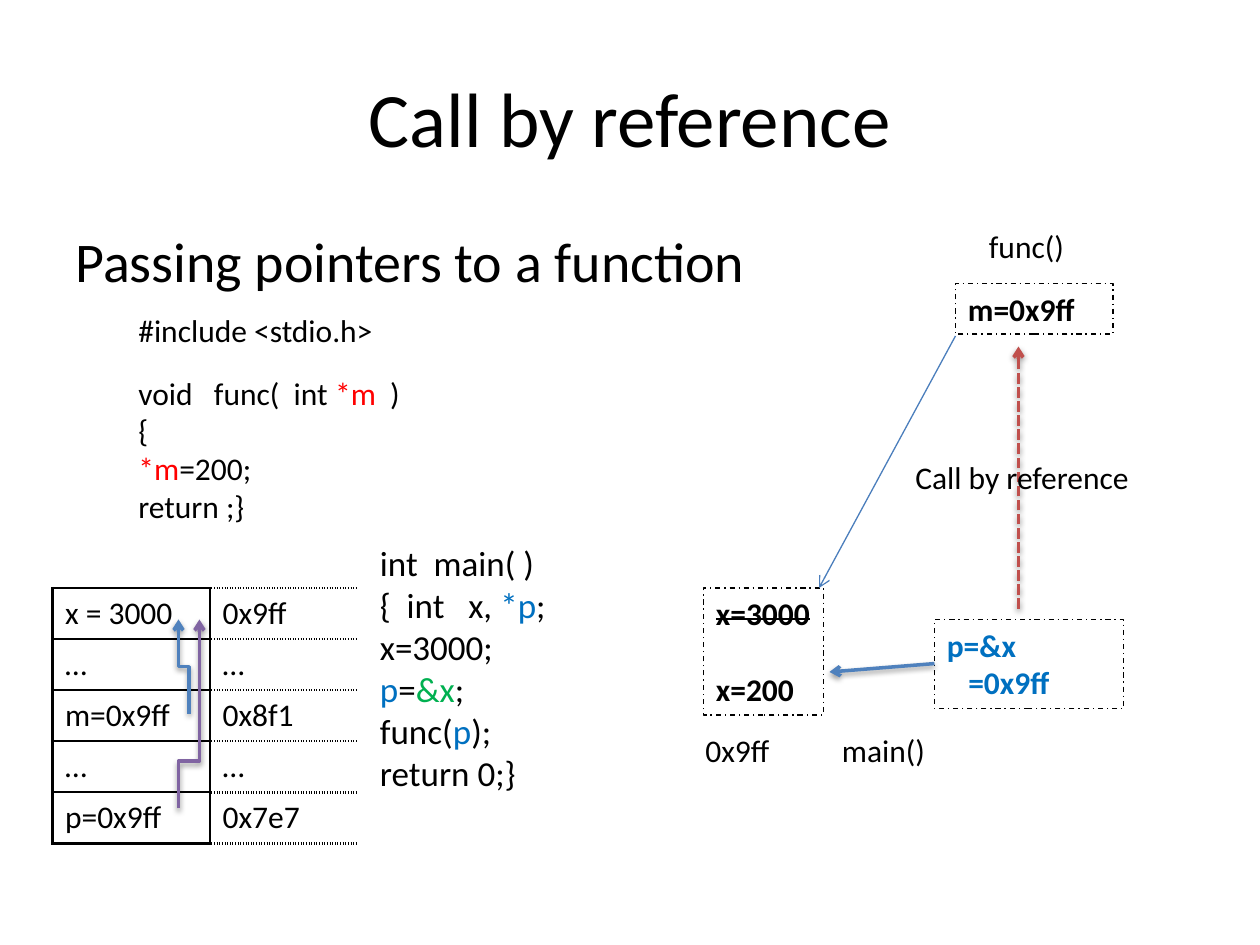
from lxml import etree
from pptx import Presentation
from pptx.dml.color import RGBColor
from pptx.enum.dml import MSO_LINE
from pptx.enum.shapes import MSO_CONNECTOR as Link, MSO_SHAPE as Shape
from pptx.enum.text import MSO_ANCHOR as Anchor, PP_ALIGN as Align
from pptx.oxml.ns import qn
from pptx.util import Inches, Pt

FONT = "Calibri"
BLACK, RED, BLUE, GREEN = "000000", "FF0000", "0070C0", "00B050"
STEEL, BRICK, PURPLE, THIN_BLUE = "4F81BD", "C0504D", "8064A2", "4B7EBC"
LINE_ROW = 4.83  # height of a one-line label


def grid(count):
    """Length of a number of grid steps, twelve to the inch."""
    return Inches(count / 12)


def color(value):
    return RGBColor.from_string(value)


def add_xml(parent, tag, **attributes):
    return etree.SubElement(parent, qn(tag), attributes)


def style_font(font, size, tint=BLACK, bold=False):
    font.name, font.size, font.bold = FONT, Pt(size), bold
    font.color.rgb = color(tint)


def write_lines(frame, lines, size, tint=BLACK, bold=False):
    """Each line is a string or a list of strings and (text, colour) pairs."""
    for index, line in enumerate(lines):
        para = frame.paragraphs[0] if index == 0 else frame.add_paragraph()
        para.alignment = Align.LEFT
        style_font(para.font, size, tint, bold)
        for part in [line] if isinstance(line, str) else line:
            text, part_tint = (part, tint) if isinstance(part, str) else part
            span = para.add_run()
            span.text = text
            if part_tint != tint:
                span.font.color.rgb = color(part_tint)


def add_text(slide, col, row, width, height, lines, size=18, wrap=False):
    box = slide.shapes.add_textbox(*map(grid, (col, row, width, height)))
    box.text_frame.word_wrap = wrap
    write_lines(box.text_frame, lines, size)


def add_frame(slide, col, row, width, height, lines, tint=BLACK, wrap=True):
    """Dash-dotted memory box; returns its paragraphs."""
    box = slide.shapes.add_shape(Shape.RECTANGLE,
                                 *map(grid, (col, row, width, height)))
    box.shadow.inherit = False
    box.fill.background()
    box.line.color.rgb = color(BLACK)
    box.line.width = Pt(0.75)
    box.line.dash_style = MSO_LINE.DASH_DOT
    frame = box.text_frame
    frame.word_wrap, frame.vertical_anchor = wrap, Anchor.TOP
    write_lines(frame, lines, 18, tint, bold=True)
    return frame.paragraphs


def finish_arrow(arrow, tint, width, dash=None, shadow=True):
    arrow.line.color.rgb = color(tint)
    arrow.line.width = Pt(width)
    if dash:
        arrow.line.dash_style = dash
    add_xml(arrow.line._get_or_add_ln(), "a:tailEnd", type="arrow")
    effects = add_xml(arrow._element.spPr, "a:effectLst")
    if shadow:
        outer = add_xml(effects, "a:outerShdw", blurRad="40000", dist="20000",
                        dir="5400000", rotWithShape="0")
        black = add_xml(outer, "a:srgbClr", val=BLACK)
        add_xml(black, "a:alpha", val="38000")


def add_arrow(slide, start, end, tint, width=2, **options):
    arrow = slide.shapes.add_connector(Link.STRAIGHT,
                                       *map(grid, (*start, *end)))
    finish_arrow(arrow, tint, width, **options)


def add_rising_elbow(slide, start, end, tint, bend):
    """Elbow that climbs, steps sideways at the bend, and climbs again."""
    (x1, y1), (x2, y2) = start, end
    rise, step = y1 - y2, abs(x2 - x1)
    left, top = (x1 + x2 - rise) / 2, (y1 + y2 - step) / 2
    arrow = slide.shapes.add_connector(
        Link.ELBOW, *map(grid, (left, top, left + rise, top + step)))
    transform = arrow._element.spPr.find(qn("a:xfrm"))
    transform.set("rot", str(270 * 60000))
    if x2 < x1:
        transform.set("flipV", "1")
    guides = arrow._element.spPr.find(qn("a:prstGeom")).find(qn("a:avLst"))
    add_xml(guides, "a:gd", name="adj1", fmla=f"val {round(bend * 100000)}")
    finish_arrow(arrow, tint, 2)


def set_borders(cell, **dashes):
    """A dash name for each side; None leaves the side open."""
    properties = cell._tc.get_or_add_tcPr()
    for index, side in enumerate("LRTB"):
        dash = dashes[side]
        line = etree.Element(qn(f"a:ln{side}"), w=str(Pt(1.5)))
        if dash:
            fill = add_xml(line, "a:solidFill")
            add_xml(fill, "a:srgbClr", val=BLACK)
            add_xml(line, "a:prstDash", val=dash)
        else:
            add_xml(line, "a:noFill")
        properties.insert(index, line)


def add_memory_table(slide, col, row, widths, row_height, rows):
    table = slide.shapes.add_table(
        len(rows), len(widths), grid(col), grid(row),
        grid(sum(widths)), grid(row_height * len(rows))).table
    table.first_row = table.horz_banding = False
    for column, width in zip(table.columns, widths):
        column.width = grid(width)
    for r, texts in enumerate(rows):
        table.rows[r].height = grid(row_height)
        for c, text in enumerate(texts):
            cell = table.cell(r, c)
            cell.fill.background()
            write_lines(cell.text_frame, [text], 18)
            edge = "sysDot" if c else "solid"
            set_borders(cell, L="solid", R=None if c else "solid",
                        T=edge, B=edge)


def add_title(slide, text):
    title = slide.shapes.title
    title.left, title.top, title.width, title.height = map(
        grid, (6, 3.6, 108, 15))
    title.text_frame.text = text
    title.text_frame.vertical_anchor = Anchor.MIDDLE
    para = title.text_frame.paragraphs[0]
    para.alignment = Align.CENTER
    style_font(para.font, 44)


def add_code(slide):
    add_text(slide, 6, 21, 67, 8, ["Passing pointers to a function"], 32, True)
    add_text(slide, 12, 29, 25, LINE_ROW, ["#include <stdio.h>"])
    add_text(slide, 12, 35, 27.7, 15.7, [
        ["void   func(  int ", ("*m", RED), "  )"],
        "{",
        [("*m", RED), "=200;"],
        "return ;}"], wrap=True)
    add_text(slide, 35, 51, 22, 25.4, [
        "int  main( )",
        ["{  int   x, ", ("*p", BLUE), ";"],
        "x=3000;",
        [("p", BLUE), "=", ("&x", GREEN), ";"],
        ["func(", ("p", BLUE), ");"],
        "return 0;}"], 20, True)


def add_call_diagram(slide):
    add_frame(slide, 91, 27, 15, LINE_ROW, ["m=0x9ff"])
    old, new = add_frame(slide, 67, 56, 11.4, 12.1, ["x=3000", "x=200"],
                         wrap=False)
    old.runs[0].font._element.set("strike", "sngStrike")
    new.space_before = Pt(22)
    pointer = add_frame(slide, 89, 59, 18, 8.5, ["p=&x", "=0x9ff"], BLUE)
    pointer[1]._p.get_or_add_pPr().set("marL", str(Inches(0.17)))

    add_arrow(slide, (89, 63.2), (79, 64), STEEL)
    add_arrow(slide, (97, 58), (97, 33), BRICK, dash=MSO_LINE.SQUARE_DOT)
    add_arrow(slide, (91, 32), (78, 56), THIN_BLUE, 0.75, shadow=False)

    for col, row, width, label in [(66, 69, 8.7, "0x9ff"),
                                   (93, 21, 9.7, "func()"),
                                   (79, 69, 10.4, "main()"),
                                   (86, 43, 23, "Call by reference")]:
        add_text(slide, col, row, width, LINE_ROW, [label])


def add_memory(slide):
    add_memory_table(slide, 5, 56, (15, 14), 4.87, [
        ("x = 3000", "0x9ff"), ("…", "…"), ("m=0x9ff", "0x8f1"),
        ("…", "…"), ("p=0x9ff", "0x7e7")])
    add_rising_elbow(slide, (18, 68), (17, 59), STEEL, 0.5)
    add_rising_elbow(slide, (17, 77), (19, 59), PURPLE, 0.25)


def main():
    deck = Presentation()
    deck.slide_width, deck.slide_height = grid(120), grid(90)
    slide = deck.slides.add_slide(deck.slide_layouts[5])
    add_title(slide, "Call by reference")
    add_code(slide)
    add_call_diagram(slide)
    add_memory(slide)
    deck.save("out.pptx")


main()
